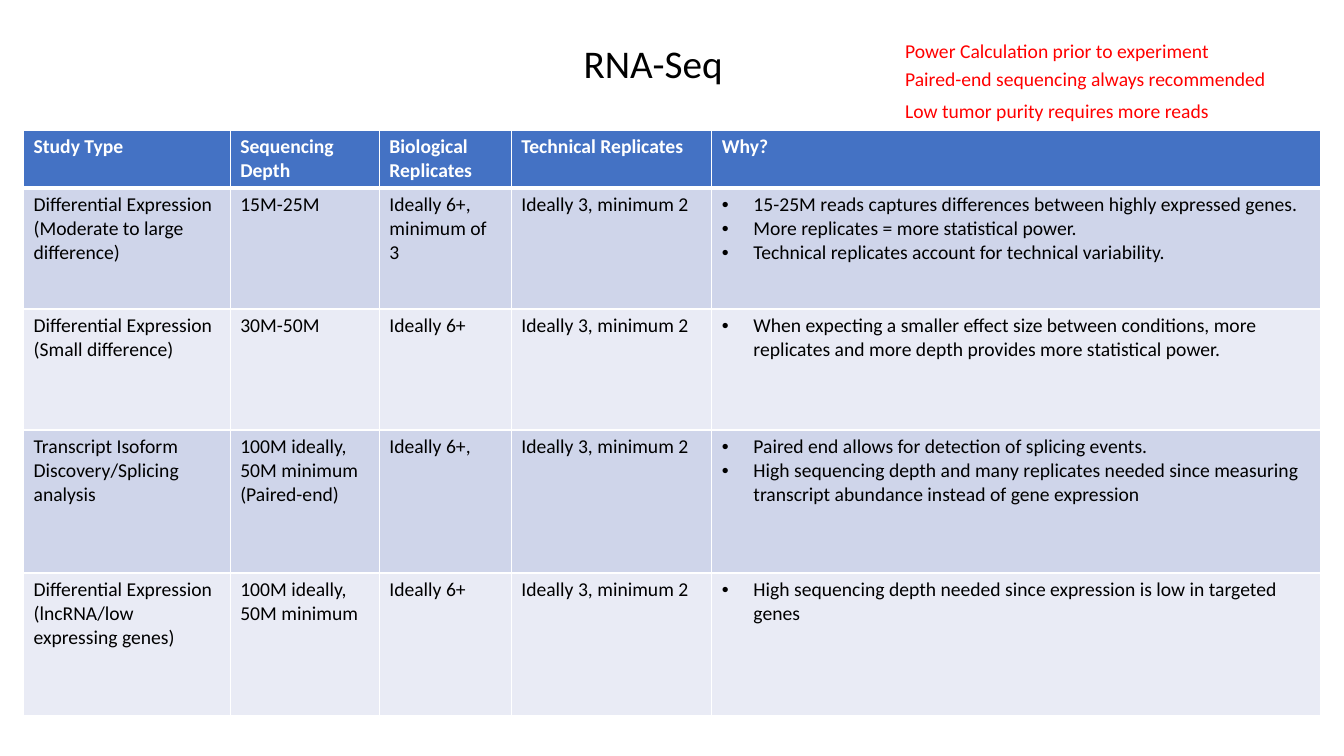
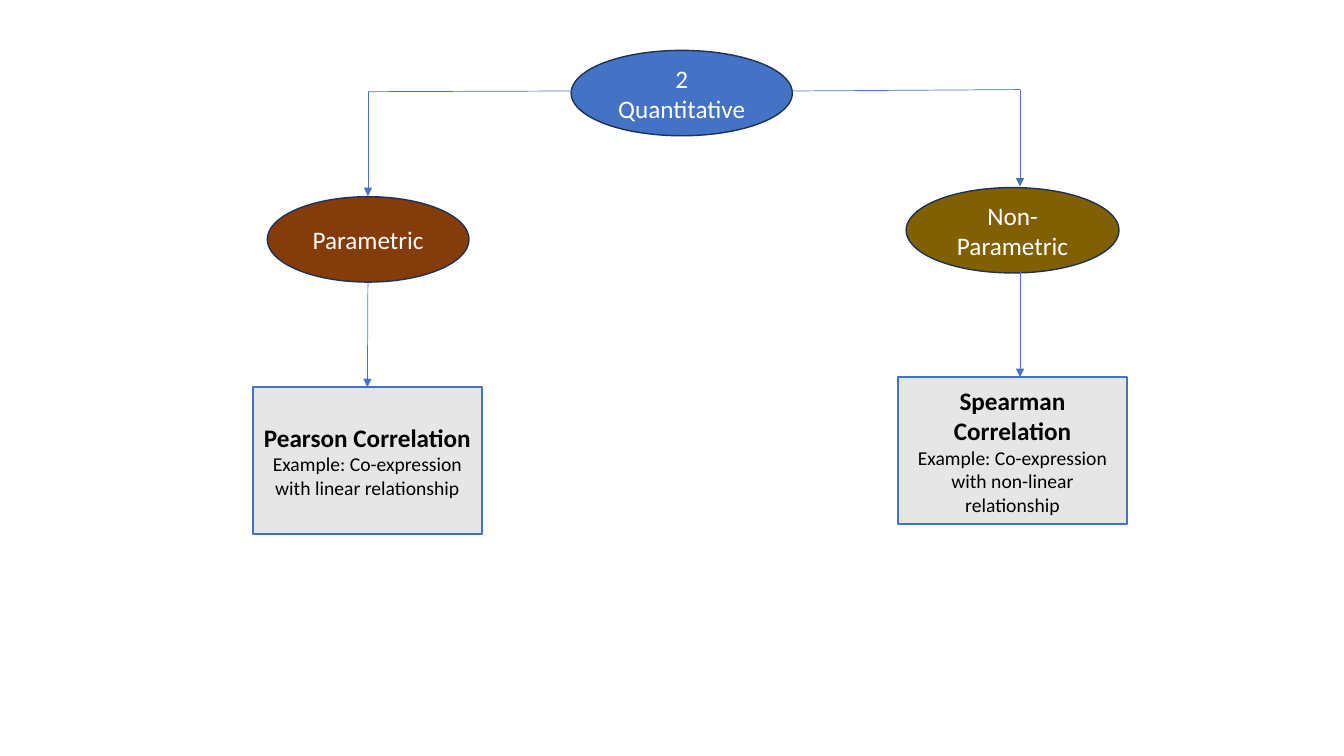
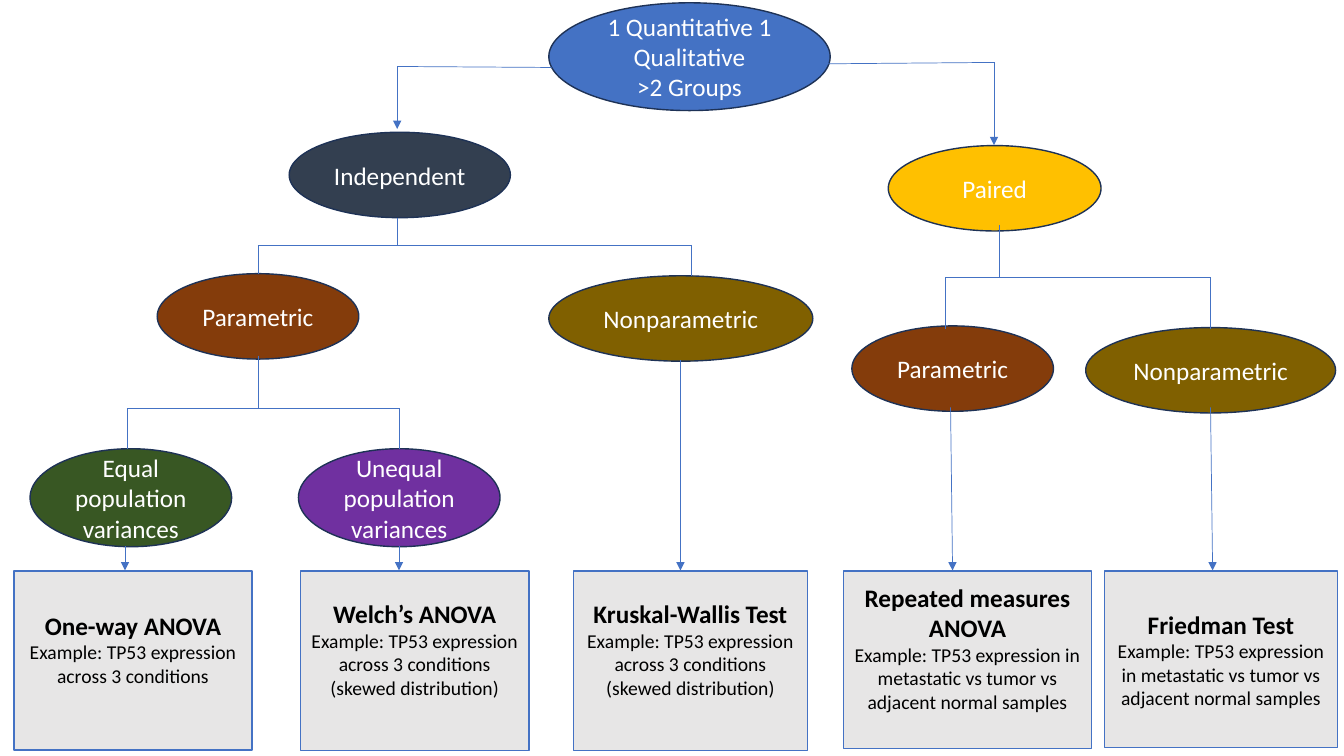
from itertools import pairwise
from lxml import etree
from pptx import Presentation
from pptx.dml.color import RGBColor
from pptx.enum import shapes as es, text as et
from pptx.oxml.ns import qn
from pptx.util import Pt

FONT = "Calibri"
BLUE = RGBColor(0x44, 0x72, 0xC4)
NAVY = RGBColor(0x1E, 0x32, 0x56)
BROWN = RGBColor(0x84, 0x3C, 0x0B)
OLIVE = RGBColor(0x80, 0x60, 0x00)
GOLD = RGBColor(0xFF, 0xC0, 0x00)
SLATE = RGBColor(0x33, 0x3F, 0x50)
GREEN = RGBColor(0x38, 0x57, 0x23)
PURPLE = RGBColor(0x70, 0x30, 0xA0)
GREY = RGBColor(0xE7, 0xE6, 0xE6)
BANDS = RGBColor(0xCF, 0xD5, 0xEA), RGBColor(0xE9, 0xEB, 0xF5)
RED = RGBColor(0xFF, 0, 0)
BLACK = RGBColor(0, 0, 0)
WHITE = RGBColor(255, 255, 255)

NOTES = [
    ("Power Calculation prior to experiment", 24.5),
    ("Paired-end sequencing always recommended", 44),
    ("Low tumor purity requires more reads", 67),
]
COLS = [147.6, 106.5, 94.3, 143.3, 435]
ROWS = [36.7, 86.4, 86.4, 102.2, 102.2]
TECH = ["Ideally 3, minimum 2"]
CELLS = [
    [["Study Type"], ["Sequencing Depth"], ["Biological Replicates"],
     ["Technical Replicates"], ["Why?"]],
    [["Differential Expression (Moderate to large difference)"], ["15M-25M"],
     ["Ideally 6+, minimum of 3"], TECH,
     ["15-25M reads captures differences between highly expressed genes.",
      "More replicates = more statistical power.",
      "Technical replicates account for technical variability."]],
    [["Differential Expression (Small difference)"], ["30M-50M"], ["Ideally 6+"], TECH,
     ["When expecting a smaller effect size between conditions, more replicates "
      "and more depth provides more statistical power."]],
    [["Transcript Isoform Discovery/Splicing analysis"],
     ["100M ideally,", "50M minimum", "(Paired-end)"], ["Ideally 6+,"], TECH,
     ["Paired end allows for detection of splicing events.",
      "High sequencing depth and many replicates needed since measuring "
      "transcript abundance instead of gene expression"]],
    [["Differential Expression (lncRNA/low expressing genes)"],
     ["100M ideally,", "50M minimum"], ["Ideally 6+"], TECH,
     ["High sequencing depth needed since expression is low in targeted genes"]],
]

SKEWED = "Example: TP53 expression across 3 conditions (skewed distribution)"
TUMOR = "Example: TP53 expression in metastatic vs tumor vs adjacent normal samples"
LIFT = 17

PAIR = {
    "ovals": [
        (["2 Quantitative"], BLUE, (408, 36, 158, 61)),
        (["Parametric"], BROWN, (191, 140.5, 144, 61)),
        (["Non-Parametric"], OLIVE, (647.3, 134, 152, 61)),
    ],
    "boxes": [
        ("Pearson Correlation", "Example: Co-expression with linear relationship",
         (180.7, 276.5, 163.5, 105), 0),
        ("Spearman Correlation", "Example: Co-expression with non-linear relationship",
         (641.5, 269.3, 163.5, 105), 0),
    ],
    "arrows": [
        [(409, 65), (262.8, 65.5), (262.8, 140)],
        [(566, 65), (728.6, 64), (728.6, 133.2)],
        [(262.8, 201.6), (262.8, 276.5)],
        [(728.6, 194.4), (728.6, 269.3)],
    ],
    "forks": [],
}
GROUPS = {
    "ovals": [
        (["1 Quantitative 1 Qualitative", ">2 Groups"], BLUE, (392, 2, 201, 77)),
        (["Independent"], SLATE, (206.6, 94.5, 158, 61)),
        (["Paired"], GOLD, (634.5, 104, 152, 61)),
        (["Parametric"], BROWN, (112.3, 195.5, 144, 61)),
        (["Nonparametric"], OLIVE, (392, 197, 188.6, 61)),
        (["Parametric"], BROWN, (608.5, 232.8, 144, 61)),
        (["Nonparametric"], OLIVE, (775.5, 234, 178.5, 61)),
        (["Equal population variances"], GREEN, (21.5, 320.5, 144, 70)),
        (["Unequal population variances"], PURPLE, (213.2, 320.5, 144, 70)),
    ],
    "boxes": [
        ("One-way ANOVA", "Example: TP53 expression across 3 conditions",
         (10, 407.8, 170, 128), LIFT),
        ("Welch’s ANOVA", SKEWED, (214.5, 408, 163.5, 128), LIFT),
        ("Kruskal-Wallis Test", SKEWED, (409.7, 408, 167, 128), LIFT),
        ("Repeated measures ANOVA", TUMOR, (602.6, 407.8, 177, 127), LIFT),
        ("Friedman Test", TUMOR, (789, 408, 166.3, 126), 0),
    ],
    "arrows": [
        [(394, 48.2), (283.7, 47.5), (283.7, 92.2)],
        [(590, 45.6), (710, 44.6), (710, 103.7)],
        [(89.3, 390), (89.3, 407.5)],
        [(285, 390), (285, 407.5)],
        [(486, 257), (486, 407.5)],
        [(679, 291), (680.4, 407.5)],
        [(864.7, 291), (866.2, 407.5)],
    ],
    "forks": [
        (283.7, 155.5, 175, [(184.3, 195.5), (494, 197)]),
        (184.3, 254, 291.6, [(90.7, 320.5), (285, 320.5)]),
        (713.5, 161, 198, [(675.4, 234.7), (864.7, 234.7)]),
    ],
}


def pts(*vals):
    return [Pt(v) for v in vals]


def write(frame, lines, color, align=et.PP_ALIGN.LEFT, dots=False):
    for i, (words, size, bold) in enumerate(lines):
        para = frame.paragraphs[0] if i == 0 else frame.add_paragraph()
        if dots:
            props = para._p.get_or_add_pPr()
            props.set("marL", str(Pt(22.5)))
            props.set("indent", str(-Pt(22.5)))
            etree.SubElement(props, qn("a:buFont"), typeface="Arial")
            etree.SubElement(props, qn("a:buChar"), char="•")
        para.alignment = align
        run = para.add_run()
        run.text = words
        font = run.font
        font.name, font.size, font.bold = FONT, Pt(size), bold
        font.color.rgb = color


def edge(cell, side, width):
    line = etree.SubElement(cell._tc.get_or_add_tcPr(), qn("a:ln" + side), w=str(Pt(width)))
    fill = etree.SubElement(line, qn("a:solidFill"))
    etree.SubElement(fill, qn("a:srgbClr"), val=str(WHITE))


def node(slide, kind, area, fill, line, lines, color, lift=0):
    shape = slide.shapes.add_shape(kind, *pts(*area))
    shape.shadow.inherit = False
    shape.fill.solid()
    shape.fill.fore_color.rgb = fill
    shape.line.color.rgb = line
    shape.line.width = Pt(1)
    frame = shape.text_frame
    frame.word_wrap = True
    frame.vertical_anchor = et.MSO_ANCHOR.MIDDLE
    frame.margin_bottom = Pt(3.6 + lift)
    write(frame, lines, color, et.PP_ALIGN.CENTER)
    return shape


def wire(slide, stops, arrow=False):
    for a, b in pairwise(stops):
        line = slide.shapes.add_connector(es.MSO_CONNECTOR.STRAIGHT, *pts(*a, *b))
        line.line.color.rgb = BLUE
        line.line.width = Pt(0.5)
        if arrow and b == stops[-1]:
            etree.SubElement(line.line._get_or_add_ln(), qn("a:tailEnd"), type="triangle")
        etree.SubElement(line._element.spPr, qn("a:effectLst"))
    return line


def tree(deck, data):
    slide = deck.slides.add_slide(deck.slide_layouts[6])
    for lines, fill, area in data["ovals"]:
        node(slide, es.MSO_SHAPE.OVAL, area, fill, NAVY,
             [(t, 18, False) for t in lines], WHITE)
    boxes = [node(slide, es.MSO_SHAPE.RECTANGLE, area, GREY, BLUE,
                  [(head, 18, True), (body, 14, False)], BLACK, lift)
             for head, body, area, lift in data["boxes"]]
    for stops in data["arrows"]:
        line = wire(slide, stops, True)
        for box in boxes:
            mid = box.left + box.width // 2
            if abs(line.end_x - mid) < Pt(1) and abs(line.end_y - box.top) < Pt(1):
                line.end_connect(box, 0)
    for x, top, bar, kids in data["forks"]:
        wire(slide, [(x, top), (x, bar)])
        (left, low), (right, base) = kids
        wire(slide, [(left, low), (left, bar), (right, bar), (right, base)])


def study(deck):
    slide = deck.slides.add_slide(deck.slide_layouts[5])
    title = slide.shapes.title
    title.left, title.top, title.width, title.height = pts(409.7, 24.5, 140.4, 41)
    frame = title.text_frame
    frame.auto_size = et.MSO_AUTO_SIZE.NONE
    frame.vertical_anchor = et.MSO_ANCHOR.TOP
    write(frame, [("RNA-Seq", 28, False)], BLACK)
    area = pts(16.8, 93, sum(COLS), sum(ROWS))
    table = slide.shapes.add_table(len(ROWS), len(COLS), *area).table
    for col, width in zip(table.columns, COLS):
        col.width = Pt(width)
    for r, row in enumerate(CELLS):
        table.rows[r].height = Pt(ROWS[r])
        for c, lines in enumerate(row):
            cell = table.cell(r, c)
            for side in "LRTB":
                thick = (r, side) in ((0, "B"), (1, "T"))
                edge(cell, side, 3 if thick else 1)
            cell.fill.solid()
            cell.fill.fore_color.rgb = BANDS[(r - 1) % 2] if r else BLUE
            write(cell.text_frame, [(t, 14, r == 0) for t in lines],
                  BLACK if r else WHITE, dots=r > 0 and c == len(COLS) - 1)
    for words, top in NOTES:
        box = slide.shapes.add_textbox(*pts(639.4, top, 275, 24.5))
        box.text_frame.word_wrap = True
        write(box.text_frame, [(words, 14, False)], RED)


def main():
    deck = Presentation()
    deck.slide_width, deck.slide_height = pts(960, 540)
    study(deck)
    tree(deck, PAIR)
    tree(deck, GROUPS)
    deck.save("out.pptx")


if __name__ == "__main__":
    main()
